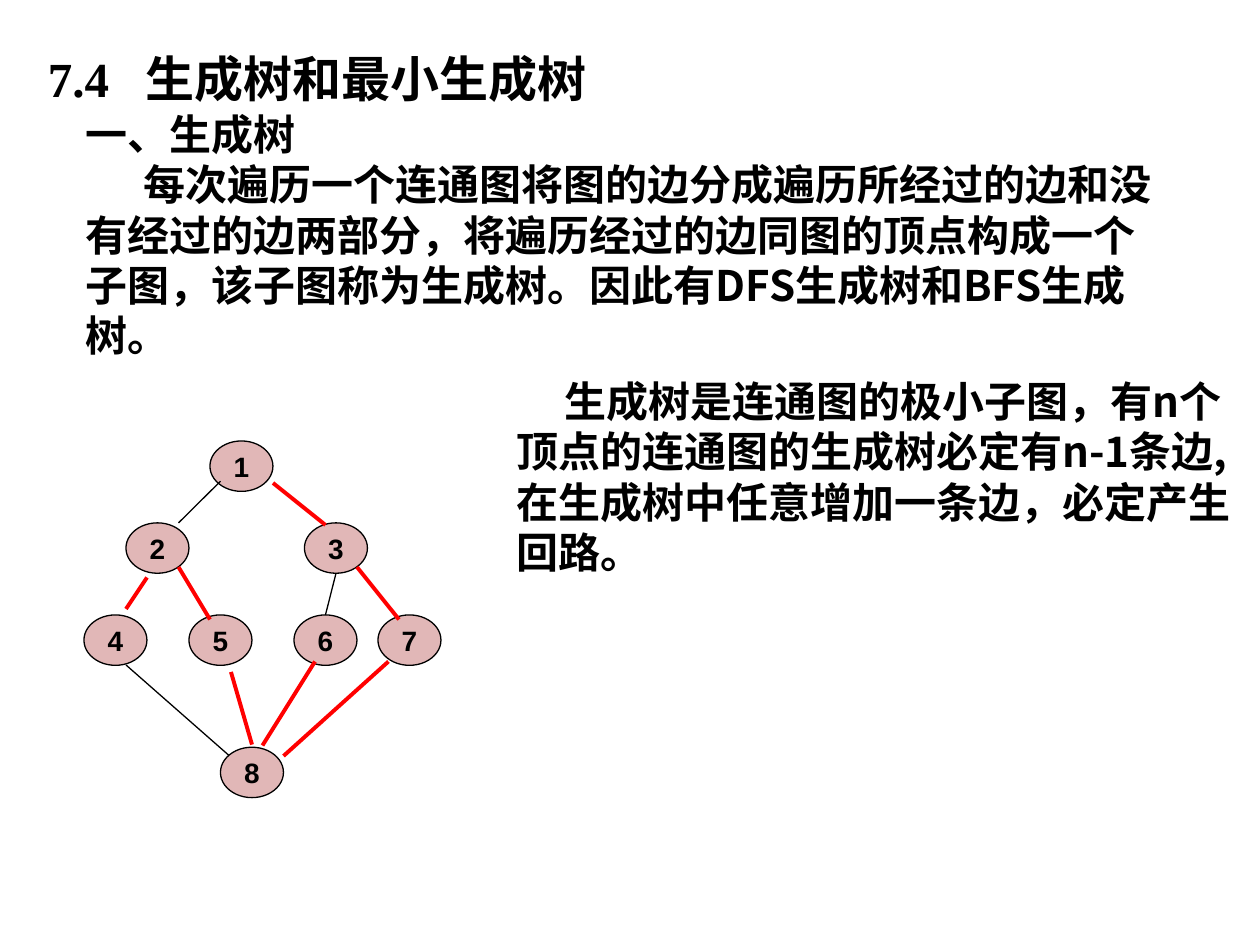
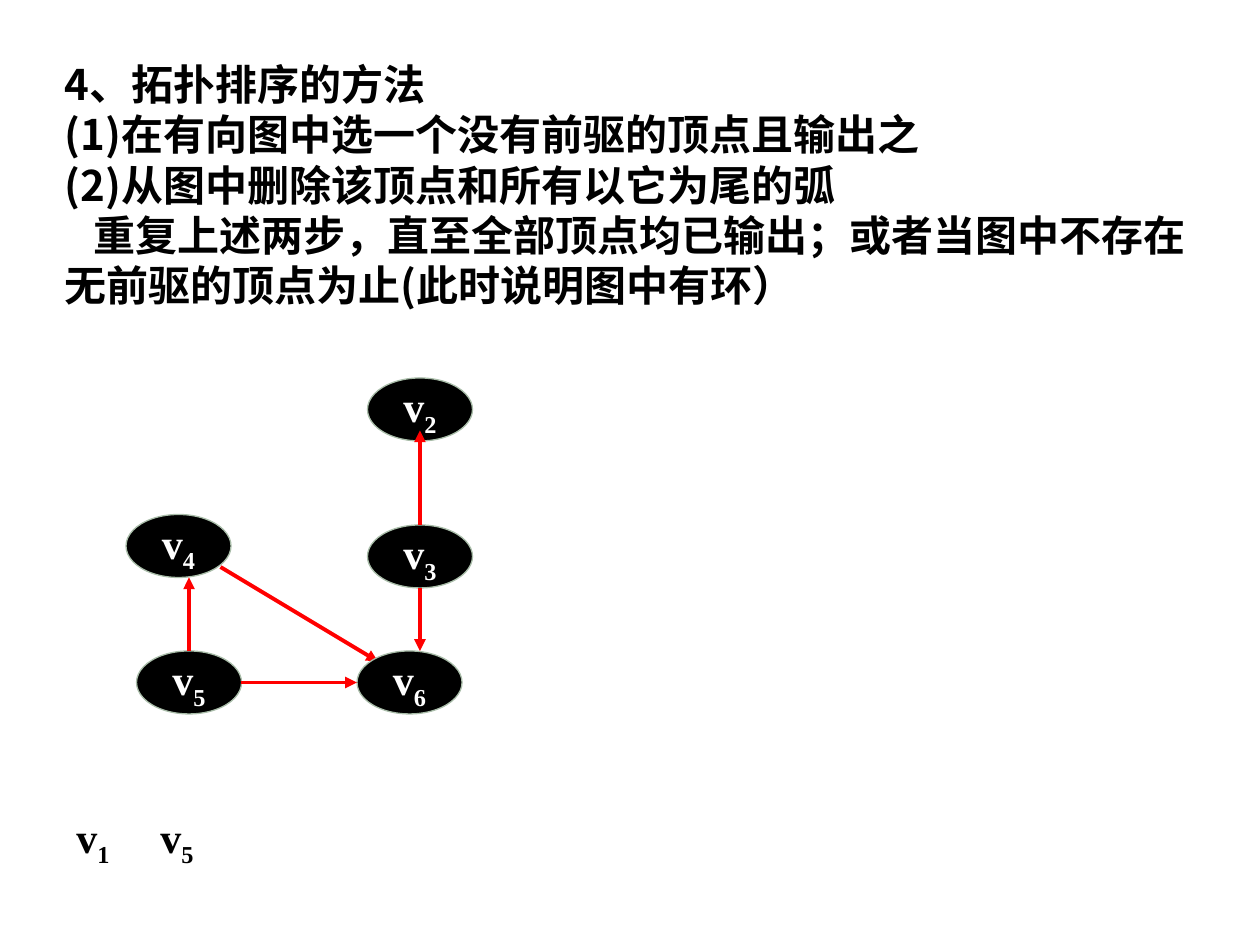
"""Build two slides on spanning trees and topological sorting."""
from dataclasses import dataclass

from lxml import etree
from pptx import Presentation
from pptx.dml.color import RGBColor
from pptx.enum.shapes import MSO_CONNECTOR as Connector, MSO_SHAPE as Shape
from pptx.enum.text import MSO_ANCHOR as Anchor, MSO_AUTO_SIZE as AutoSize, PP_ALIGN as Align
from pptx.oxml.ns import qn
from pptx.util import Pt


@dataclass(frozen=True)
class Theme:
    ink: RGBColor = RGBColor(0, 0, 0)
    paper: RGBColor = RGBColor(255, 255, 255)
    red: RGBColor = RGBColor(255, 0, 0)
    rose: RGBColor = RGBColor(0xE1, 0xB7, 0xB7)
    sage: RGBColor = RGBColor(0xA9, 0xBD, 0xA9)
    cjk: str = "Noto Sans CJK SC"
    serif: str = "Times New Roman"
    sans: str = "Arial"
    heading: int = 28
    text: int = 24
    label: int = 16
    leading: float = 28.8
    thin: float = 0.75
    thick: float = 2.25


theme = Theme()
plain = {}
subscript = {"baseline": "-25000"}
wide_gap = {"spc": "1400"}


def write(box, paragraphs, place=None, font=theme.cjk, size=theme.text, color=theme.ink,
          align=Align.LEFT, anchor=Anchor.MIDDLE, leading=None, wrap=True):
    """Fill a box with (indent, [(text, run attributes), ...]) paragraphs."""
    if place:
        box.left, box.top, box.width, box.height = map(Pt, place)
    frame = box.text_frame
    frame.auto_size, frame.word_wrap, frame.vertical_anchor = AutoSize.NONE, wrap, anchor
    for number, (indent, spans) in enumerate(paragraphs):
        para = frame.add_paragraph() if number else frame.paragraphs[0]
        props = para._p.get_or_add_pPr()
        props.set("marL", "0")
        props.set("indent", str(Pt(indent)))
        props.set("hangingPunct", "0")
        etree.SubElement(props, qn("a:buNone"))
        para.alignment, para.space_before = align, Pt(0)
        if leading:
            para.line_spacing = Pt(leading)
        for text, attributes in spans:
            span = para.add_run()
            span.text = text
            span.font.name, span.font.size, span.font.bold = font, Pt(size), True
            span.font.color.rgb = color
            run_props = span._r.get_or_add_rPr()
            etree.SubElement(run_props, qn("a:ea"), typeface=theme.cjk)
            for key, value in attributes.items():
                run_props.set(key, value)


def link(page, ends, color, width, arrow=False):
    """Draw a straight edge, optionally with an arrowhead at its end."""
    edge = page.shapes.add_connector(Connector.STRAIGHT, *map(Pt, ends))
    edge.line.color.rgb, edge.line.width = color, Pt(width)
    if arrow:
        etree.SubElement(edge.line._get_or_add_ln(), qn("a:tailEnd"), type="triangle")
    etree.SubElement(edge._element.spPr, qn("a:effectLst"))


deck = Presentation()
deck.slide_width, deck.slide_height = Pt(720), Pt(540)
layout = deck.slide_layouts[1]
prose = dict(anchor=Anchor.TOP, leading=theme.leading)

page = deck.slides.add_slide(layout)
write(page.shapes.title, [(0, [("7.4", plain), (" ", wide_gap), ("生成树和最小生成树", plain)])],
      (20.2, 24, 340, 41), font=theme.serif, size=theme.heading)
write(page.placeholders[1], [
    (0, [("一、生成树", plain)]),
    (33, [("每次遍历一个连通图将图的边分成遍历所经过的边和没有经过的边两部分，将遍历经过的边同图的顶点"
           "构成一个子图，该子图称为生成树。因此有DFS生成树和BFS生成树。", plain)]),
], (41.8, 58.3, 635.8, 151.2), **prose)

link(page, (72, 380, 132, 432.7), theme.ink, theme.thin)
tree_rows = [(252, {"1": 120}), (298.8, {"2": 72, "3": 174}),
             (351.4, {"4": 48, "5": 108, "6": 168, "7": 216}), (427, {"8": 126})]
for top, row in tree_rows:
    for name, left in row.items():
        node = page.shapes.add_shape(Shape.OVAL, Pt(left), Pt(top), Pt(36), Pt(28.8))
        node.shadow.inherit = False
        node.fill.solid()
        node.fill.fore_color.rgb = theme.rose
        node.line.color.rgb, node.line.width = theme.ink, Pt(theme.thin)
        write(node, [(0, [(name, plain)])], font=theme.sans, size=theme.label,
              align=Align.CENTER, wrap=False)
for ends in [(126, 275, 102, 298.8), (192, 327.6, 186, 351.4)]:
    link(page, ends, theme.ink, theme.thin)
for ends in [(156, 276, 186, 300), (204, 324, 228, 354), (222, 378, 162, 432),
             (144, 425.5, 132, 384), (120, 354, 102, 324), (84, 330, 72, 348),
             (150, 426, 180, 378)]:
    link(page, ends, theme.red, theme.thick)
note = page.shapes.add_textbox(0, 0, 0, 0)
write(note, [(27.5, [("生成树是连通图的极小子图，有n个顶点的连通图的生成树必定有n-1条边,"
                      "在生成树中任意增加一条边，必定产生回路。", plain)])],
      (288, 211, 432, 122.4), **prose)

page = deck.slides.add_slide(layout)
write(page.shapes.title, [(0, [("4、拓扑排序的方法", plain)])], (29.9, 29.7, 661, 36), **prose)
write(page.placeholders[1], [
    (0, [("(1)在有向图中选一个没有前驱的顶点且输出之", plain)]),
    (0, [("(2)从图中删除该顶点和所有以它为尾的弧", plain)]),
    (16.5, [("重复上述两步，直至全部顶点均已输出；或者当图中不存在无前驱的顶点为止(此时说明图中有环）", plain)]),
], (29.9, 58.5, 661, 122.4), **prose)

link(page, (126, 324, 216, 378), theme.red, theme.thick, arrow=True)
vertices = {"4": (72, 294), "2": (210, 216), "6": (204, 372), "3": (210, 300), "5": (78, 372)}
for index, (left, top) in vertices.items():
    vertex = page.shapes.add_shape(Shape.OVAL, Pt(left), Pt(top), Pt(60), Pt(36))
    vertex.shadow.inherit = False
    vertex.fill.solid()
    vertex.fill.fore_color.rgb = theme.ink
    vertex.line.color.rgb, vertex.line.width = theme.sage, Pt(theme.thin)
    write(vertex, [(0, [("v", plain), (index, subscript)])], font=theme.serif,
          color=theme.paper, align=Align.CENTER, wrap=False)
for ends in [(240, 300, 240, 246), (240, 336, 240, 372), (138, 390, 204, 390),
             (108, 372, 108, 330)]:
    link(page, ends, theme.red, theme.thick, arrow=True)
for position, index in enumerate("15"):
    output = page.shapes.add_textbox(0, 0, 0, 0)
    write(output, [(0, [("v", plain), (index, subscript)])],
          (36.7 + 48 * position, 460, 33, 40), font=theme.serif, align=Align.CENTER, wrap=False)

deck.save("out.pptx")
